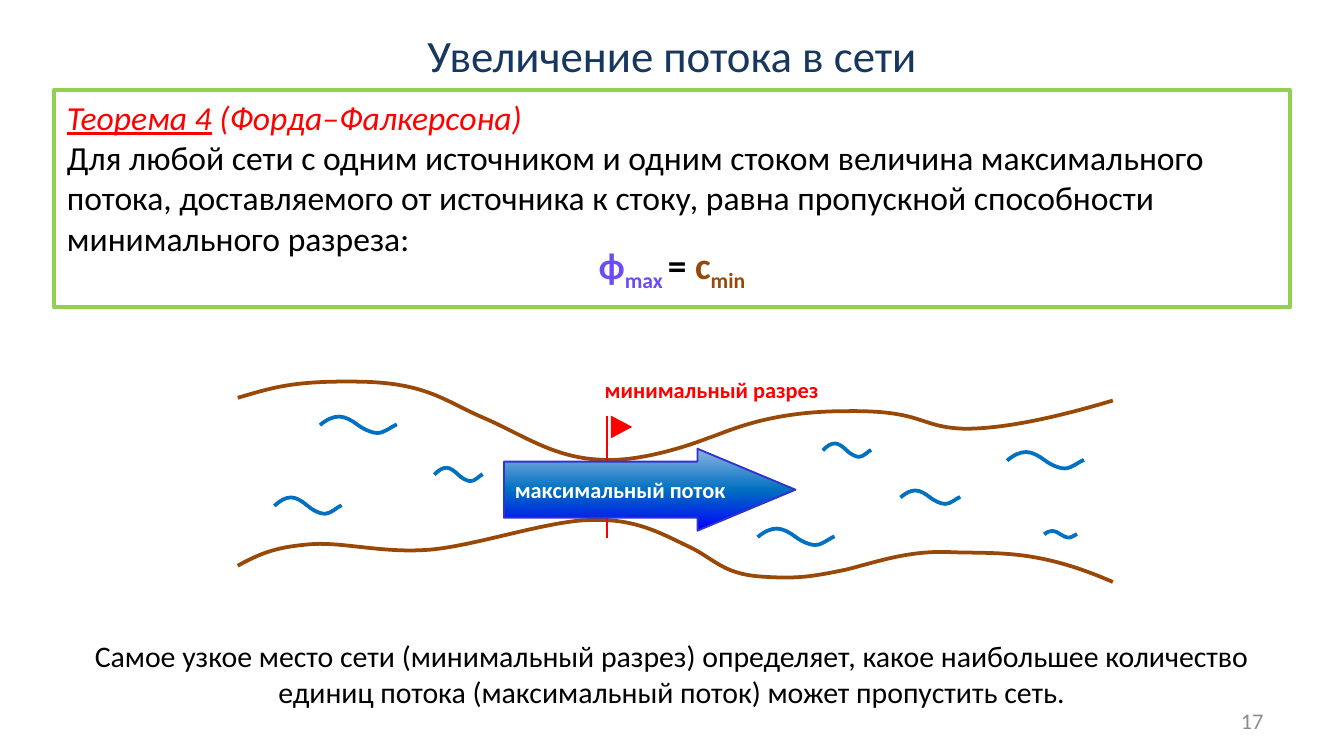
from copy import deepcopy

from lxml import etree
from pptx import Presentation
from pptx.dml.color import RGBColor
from pptx.enum import shapes, text
from pptx.oxml.ns import qn
from pptx.util import Pt

THEME = dict(
    font="Calibri", title=24, formula=20, body=18, note=16, label=12,
    navy="17375E", black="000000", white="FFFFFF", red="FF0000", gray="8C8C8C",
    green="92D050", brown="984807", violet="6C4CF6", water="0070C0",
    arrow_line="3333CC", arrow_fill=[(0, "0000FF"), (0.5, "0070C0"), (1, "8EB4E3")],
)

# Each paragraph is a list of runs: text and its own format
TITLE = [[("Увеличение потока в сети", {})]]
THEOREM = [
    [("Теорема 4", dict(color="red", italic=True, underline=True)),
     (" (Форда–Фалкерсона)", dict(color="red", italic=True))],
    [("Для любой сети с одним источником и одним стоком величина максимального "
      "потока, доставляемого от источника к стоку, равна пропускной способности "
      "минимального разреза:", {})],
]
FORMULA = [[("ϕ", dict(color="violet")), ("max ", dict(color="violet", sub=True)),
            ("= ", {}), ("c", dict(color="brown")),
            ("min", dict(color="brown", sub=True))]]
CONCLUSION = [[("Самое узкое место сети (минимальный разрез) определяет, какое "
                "наибольшее количество единиц потока (максимальный поток) может "
                "пропустить сеть.", {})]]
FLOW_LABEL = [[("максимальный поток", {})]]
CUT_LABEL = [[("минимальный разрез", {})]]
PAGE = [[("17", {})]]

# Bezier chains: a start point, then two control points and an end point per piece
UPPER_BANK = [
    (127.4, 213.1), (146.9, 207.4), (157.7, 203.8), (193.7, 204.5),
    (229, 205.2), (239, 215.3), (259.2, 223.9),
    (279.4, 232.6), (295.9, 244.8), (320.4, 246.2),
    (345.6, 248.4), (379.4, 234.7), (379.4, 234.7),
    (388.8, 231.8), (410.4, 220.3), (452.9, 220.3),
    (495.4, 219.6), (491.8, 229), (517, 229.7),
    (542.2, 229.7), (574.6, 221), (596.2, 214.6),
]
LOWER_BANK = [
    (127.4, 303.1), (140.4, 295.9), (149, 293), (166.3, 291.6),
    (183.6, 290.2), (205.2, 296.6), (230.4, 294.5),
    (255.6, 292.3), (294.5, 278.6), (317.5, 278.6),
    (340.6, 277.9), (354.2, 285.8), (367.9, 292.3),
    (382.3, 298.8), (386.6, 307.4), (407.5, 308.9),
    (427.7, 310.3), (434.9, 308.9), (452.9, 305.3),
    (470.2, 301), (487.4, 294.5), (511.2, 295.9),
    (535.7, 296.6), (556.6, 294.5), (596.2, 311.8),
]
# One ripple in a unit square
RIPPLE = [
    (0, 0.52), (0.09, 0.17), (0.17, 0), (0.25, 0),
    (0.33, 0), (0.42, 0.25), (0.49, 0.5),
    (0.56, 0.75), (0.67, 1), (0.75, 1),
    (0.84, 1), (0.93, 0.6), (1, 0.48),
]
RIPPLE_BOXES = [  # left, top, width, height
    (352.1, 254.2, 33.1, 7), (291.6, 261.4, 18, 5),
    (171.4, 223.2, 41.2, 8.8), (147, 266.5, 36, 8.8), (232.7, 250.6, 25.9, 7.2),
    (405.9, 283.2, 41.2, 8.8), (440.8, 237.6, 25.9, 7.2), (539.5, 242.2, 41.2, 8.8),
    (482.4, 262.8, 32, 7.2), (559.4, 284.4, 17.6, 3.6),
]


def rgb(name):
    return RGBColor.from_string(THEME.get(name, name))


def pts(*values):
    return [Pt(v) for v in values]


def write(sp, paragraphs, size, color="black", bold=False, align="LEFT",
          anchor="TOP", inset=None, wrap=True):
    tf = sp.text_frame
    tf.auto_size = text.MSO_AUTO_SIZE.NONE
    tf.word_wrap = wrap
    tf.vertical_anchor = text.MSO_ANCHOR[anchor]
    if inset is not None:
        tf.margin_left = tf.margin_top = tf.margin_right = tf.margin_bottom = Pt(inset)
    for i, runs in enumerate(paragraphs):
        p = tf.add_paragraph() if i else tf.paragraphs[0]
        p.alignment = text.PP_ALIGN[align]
        for words, fmt in runs:
            r = p.add_run()
            r.text = words
            f = r.font
            f.name, f.size, f.bold = THEME["font"], Pt(THEME[size]), bold
            f.italic, f.underline = fmt.get("italic"), fmt.get("underline")
            f.color.rgb = rgb(fmt.get("color", color))
            if fmt.get("sub"):
                r._r.get_or_add_rPr().set("baseline", "-25000")


def add_text(s, box, paragraphs, size, **fmt):
    write(s.shapes.add_textbox(*pts(*box)), paragraphs, size, **fmt)


def add_box(s, kind, box, fill=None, line=None, width=1):
    sp = s.shapes.add_shape(kind, *pts(*box))
    sp.shadow.inherit = False
    if fill:
        sp.fill.solid()
        sp.fill.fore_color.rgb = rgb(fill)
    else:
        sp.fill.background()
    if line:
        sp.line.color.rgb = rgb(line)
        sp.line.width = Pt(width)
    else:
        sp.line.fill.background()
    return sp


def add_curve(s, chain, color):
    """Draw a Bezier chain: every three line segments become one cubic piece."""
    points = [pts(*p) for p in chain]
    builder = s.shapes.build_freeform(*points[0])
    builder.add_line_segments(points[1:], close=False)
    sp = builder.convert_to_shape()
    segments = list(sp._element.spPr.iter(qn("a:lnTo")))
    for i in range(0, len(segments), 3):
        cubic = etree.Element(qn("a:cubicBezTo"))
        segments[i].addprevious(cubic)
        for segment in segments[i:i + 3]:
            cubic.append(segment[0])
            segment.getparent().remove(segment)
    sp.shadow.inherit = False
    sp.fill.background()
    sp.line.color.rgb = rgb(color)
    sp.line.width = Pt(2)


def add_flow_arrow(s):
    sp = add_box(s, shapes.MSO_SHAPE.RIGHT_ARROW, (270, 240.4, 156.2, 43.9),
                 line="arrow_line")
    sp.adjustments[0], sp.adjustments[1] = 0.686, 1.196
    sp.fill.gradient()
    sp.fill.gradient_angle = 90
    stops = sp._element.spPr.find(qn("a:gradFill")).find(qn("a:gsLst"))
    stops.append(deepcopy(stops[-1]))
    for gs, (position, color) in zip(stops, THEME["arrow_fill"]):
        gs.set("pos", str(int(position * 100000)))
        for old in list(gs):
            gs.remove(old)
        etree.SubElement(gs, qn("a:srgbClr")).set("val", color)
    add_text(s, (275.8, 254.9, 113, 14.4), FLOW_LABEL, "label", color="white",
             bold=True, inset=0, wrap=False)


def add_cut(s):
    x, top, bottom = 325.2, 223, 288
    pole = s.shapes.add_connector(shapes.MSO_CONNECTOR.STRAIGHT, *pts(x, top, x, bottom))
    pole.line.color.rgb = rgb("red")
    pole.line.width = Pt(1.5)
    etree.SubElement(pole._element.spPr, qn("a:effectLst"))
    flag = add_box(s, shapes.MSO_SHAPE.ISOSCELES_TRIANGLE,
                   (x + 1.7, top, 12.2, 11.5), fill="red")
    flag.rotation = 90


def main():
    prs = Presentation()
    prs.slide_width, prs.slide_height = pts(720, 405)
    s = prs.slides.add_slide(prs.slide_layouts[5])

    title = s.shapes.title
    title.left, title.top, title.width, title.height = pts(36, 9.8, 648, 38.9)
    write(title, TITLE, "title", color="navy", align="CENTER", anchor="MIDDLE", inset=0)

    banks = s.shapes.add_group_shape()
    for bank in (UPPER_BANK, LOWER_BANK):
        add_curve(banks, bank, "brown")
    for left, top, width, height in RIPPLE_BOXES:
        add_curve(s, [(left + x * width, top + y * height) for x, y in RIPPLE], "water")

    theorem = add_box(s, shapes.MSO_SHAPE.RECTANGLE, (28.8, 48.2, 662.4, 116.4),
                      line="green", width=2)
    write(theorem, THEOREM, "body")
    add_cut(s.shapes.add_group_shape())
    add_text(s, (28.4, 338.1, 663.1, 46), CONCLUSION, "note", align="CENTER")
    add_flow_arrow(s.shapes.add_group_shape())
    add_text(s, (310, 126, 100, 31.7), FORMULA, "formula", bold=True,
             align="CENTER", wrap=False)
    add_text(s, (324, 201.6, 122.4, 14.4), CUT_LABEL, "label", color="red",
             bold=True, inset=0)
    add_text(s, (516.2, 375.3, 167.8, 21.6), PAGE, "label", color="gray",
             align="RIGHT", anchor="MIDDLE")
    prs.save("out.pptx")


if __name__ == "__main__":
    main()
